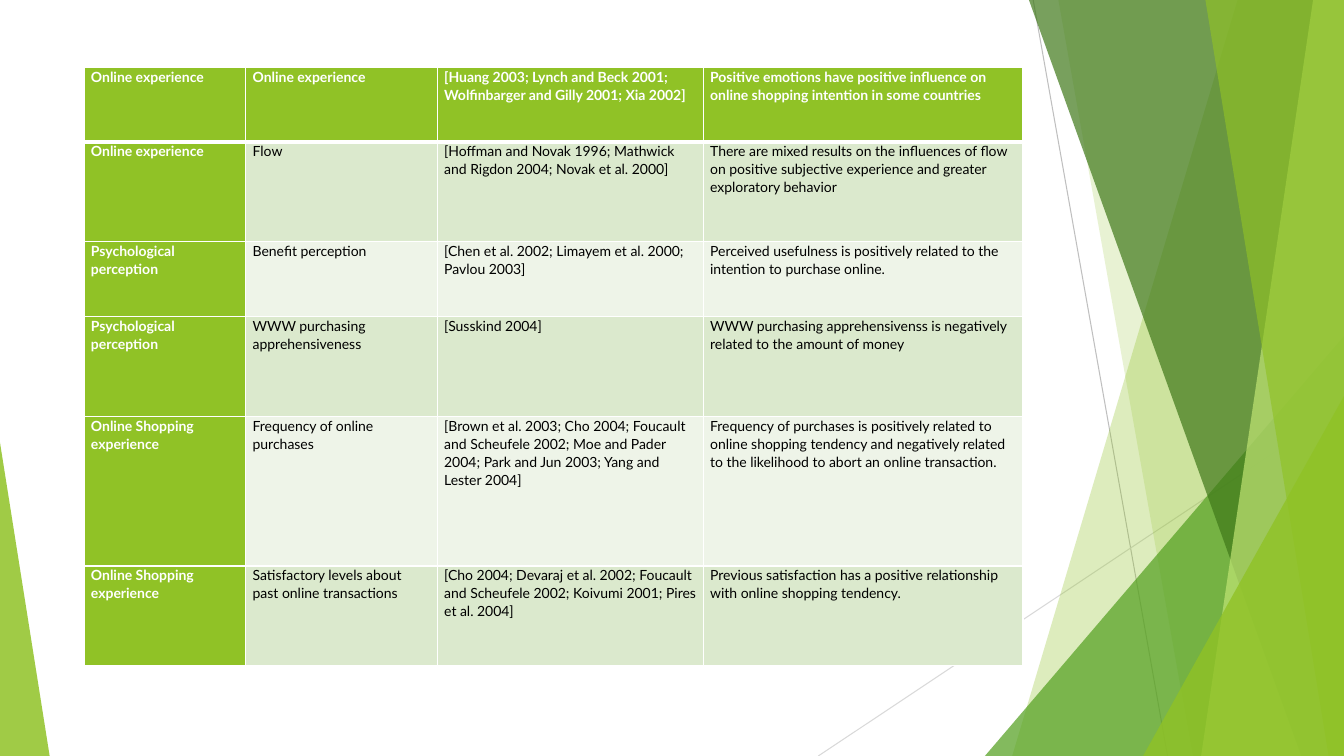
from lxml import etree
from pptx import Presentation
from pptx.dml.color import RGBColor
from pptx.enum import shapes, text
from pptx.oxml import ns
from pptx.util import Pt

WHITE = RGBColor(0xFF, 0xFF, 0xFF)
BLACK = RGBColor(0, 0, 0)
LEAF = RGBColor(0x90, 0xC2, 0x26)
GRASS = RGBColor(0x54, 0xA0, 0x21)
MOSS = RGBColor(0x3F, 0x78, 0x19)
LIME = RGBColor(0xC0, 0xE4, 0x74)
BAND = RGBColor(0xDB, 0xE9, 0xCD)
PALE = RGBColor(0xEE, 0xF4, 0xE8)
GREY = RGBColor(0xBF, 0xBF, 0xBF)
MIST = RGBColor(0xD9, 0xD9, 0xD9)
WIDE, HIGH = 960, 540


def add(node, tag, **attrs):
    """Append a DrawingML child to a node and return it."""
    return etree.SubElement(node, ns.qn("a:" + tag), attrs)


class Deck:
    """Holds the style and the current slide."""

    font, size, lead, inset = "Lato", 10, 1.07, 5

    def __init__(self):
        """Open a presentation with one blank slide."""
        self.prs = Presentation()
        self.prs.slide_width, self.prs.slide_height = Pt(WIDE), Pt(HIGH)
        self.slide = self.prs.slides.add_slide(self.prs.slide_layouts[6])

    def paint(self, shape, color, alpha):
        """Give a shape a see-through fill, no line and no shadow."""
        shape.shadow.inherit = False
        shape.line.fill.background()
        shape.fill.solid()
        shape.fill.fore_color.rgb = color
        tone = shape.fill._xPr.find(".//" + ns.qn("a:srgbClr"))
        add(tone, "alpha", val=str(alpha * 1000))

    def line(self, x1, y1, x2, y2, color):
        """Draw a thin straight line."""
        rule = self.slide.shapes.add_connector(
            shapes.MSO_CONNECTOR.STRAIGHT, Pt(x1), Pt(y1), Pt(x2), Pt(y2))
        rule.line.color.rgb = color
        rule.line.width = Pt(0.75)
        add(rule._element.spPr, "effectLst")

    def blade(self, top, foot, color, alpha):
        """Fill from a slanted edge to the right side of the slide."""
        pen = self.slide.shapes.build_freeform(Pt(top), 0, 1.0)
        ends = [(WIDE, 0), (WIDE, HIGH), (foot, HIGH)]
        pen.add_line_segments([(Pt(x), Pt(y)) for x, y in ends])
        self.paint(pen.convert_to_shape(), color, alpha)

    def wedge(self, left, top, width, peak, color, alpha):
        """Draw a right triangle standing on the bottom edge."""
        tri = self.slide.shapes.add_shape(
            shapes.MSO_SHAPE.ISOSCELES_TRIANGLE,
            Pt(left), Pt(top), Pt(width), Pt(HIGH - top))
        tri.adjustments[0] = peak
        self.paint(tri, color, alpha)

    def edges(self, cell, top, foot):
        """Give a cell white borders, with its own top and bottom widths."""
        props = cell._tc.get_or_add_tcPr()
        for side, width in zip("LRTB", (1, 1, top, foot)):
            edge = add(props, "ln" + side, w=str(Pt(width)))
            add(add(edge, "solidFill"), "srgbClr", val=str(WHITE))

    def cell(self, cell, words, fill, head):
        """Fill one table cell with its text and colour."""
        cell.fill.solid()
        cell.fill.fore_color.rgb = fill
        cell.margin_left = cell.margin_right = Pt(self.inset)
        cell.margin_top = cell.margin_bottom = 0
        cell.vertical_anchor = text.MSO_ANCHOR.TOP
        para = cell.text_frame.paragraphs[0]
        para.line_spacing = self.lead
        run = para.add_run()
        run.text = words
        run.font.name, run.font.size = self.font, Pt(self.size)
        run.font.bold = head
        run.font.color.rgb = WHITE if head else BLACK

    def table(self, left, top, cols, rows, data):
        """Draw a banded table with a header row and header column."""
        grid = self.slide.shapes.add_table(
            len(rows), len(cols), Pt(left), Pt(top),
            Pt(sum(cols)), Pt(sum(rows))).table
        for col, width in zip(grid.columns, cols):
            col.width = Pt(width)
        for r, (row, high) in enumerate(zip(data, rows)):
            grid.rows[r].height = Pt(high)
            for c, words in enumerate(row):
                head = r == 0 or c == 0
                fill = LEAF if head else BAND if r % 2 else PALE
                cell = grid.cell(r, c)
                self.edges(cell, 3 if r == 1 else 1, 3 if r == 0 else 1)
                self.cell(cell, words, fill, head)


STUDIES = [
    ("Online experience", "Online experience",
     "[Huang 2003; Lynch and Beck 2001; Wolfinbarger and Gilly 2001; Xia 2002]",
     "Positive emotions have positive influence on online shopping intention "
     "in some countries"),
    ("Online experience", "Flow",
     "[Hoffman and Novak 1996; Mathwick and Rigdon 2004; Novak et al. 2000]",
     "There are mixed results on the influences of flow on positive "
     "subjective experience and greater exploratory behavior"),
    ("Psychological perception", "Benefit perception",
     "[Chen et al. 2002; Limayem et al. 2000; Pavlou 2003]",
     "Perceived usefulness is positively related to the intention to "
     "purchase online."),
    ("Psychological perception", "WWW purchasing apprehensiveness",
     "[Susskind 2004]",
     "WWW purchasing apprehensivenss is negatively related to the amount "
     "of money"),
    ("Online Shopping experience", "Frequency of online purchases",
     "[Brown et al. 2003; Cho 2004; Foucault and Scheufele 2002; Moe and "
     "Pader 2004; Park and Jun 2003; Yang and Lester 2004]",
     "Frequency of purchases is positively related to online shopping "
     "tendency and negatively related to the likelihood to abort an online "
     "transaction."),
    ("Online Shopping experience",
     "Satisfactory levels about past online transactions",
     "[Cho 2004; Devaraj et al. 2002; Foucault and Scheufele 2002; "
     "Koivumi 2001; Pires et al. 2004]",
     "Previous satisfaction has a positive relationship with online "
     "shopping tendency."),
]
COLS = [115.5, 136.8, 190, 228.5]
STEP = 17.82
ROWS = [STEP * n for n in (3, 4, 3, 4, 6, 4)]

deck = Deck()
deck.line(738, 0, 834, HIGH, GREY)
deck.line(WIDE, 290, 584.5, HIGH, MIST)
deck.blade(884, 723, LEAF, 30)
deck.blade(756, 852, LEAF, 20)
deck.wedge(703.5, 240, 256.5, 1, GRASS, 72)
deck.blade(735, 929.5, MOSS, 70)
deck.blade(938, 858, LIME, 70)
deck.blade(861, 949, LEAF, 65)
deck.wedge(816.5, 283, 143.5, 1, LEAF, 80)
deck.wedge(0, 316, 35.5, 0, LEAF, 85)
deck.table(60, 48, COLS, ROWS, STUDIES)
deck.prs.save("out.pptx")
